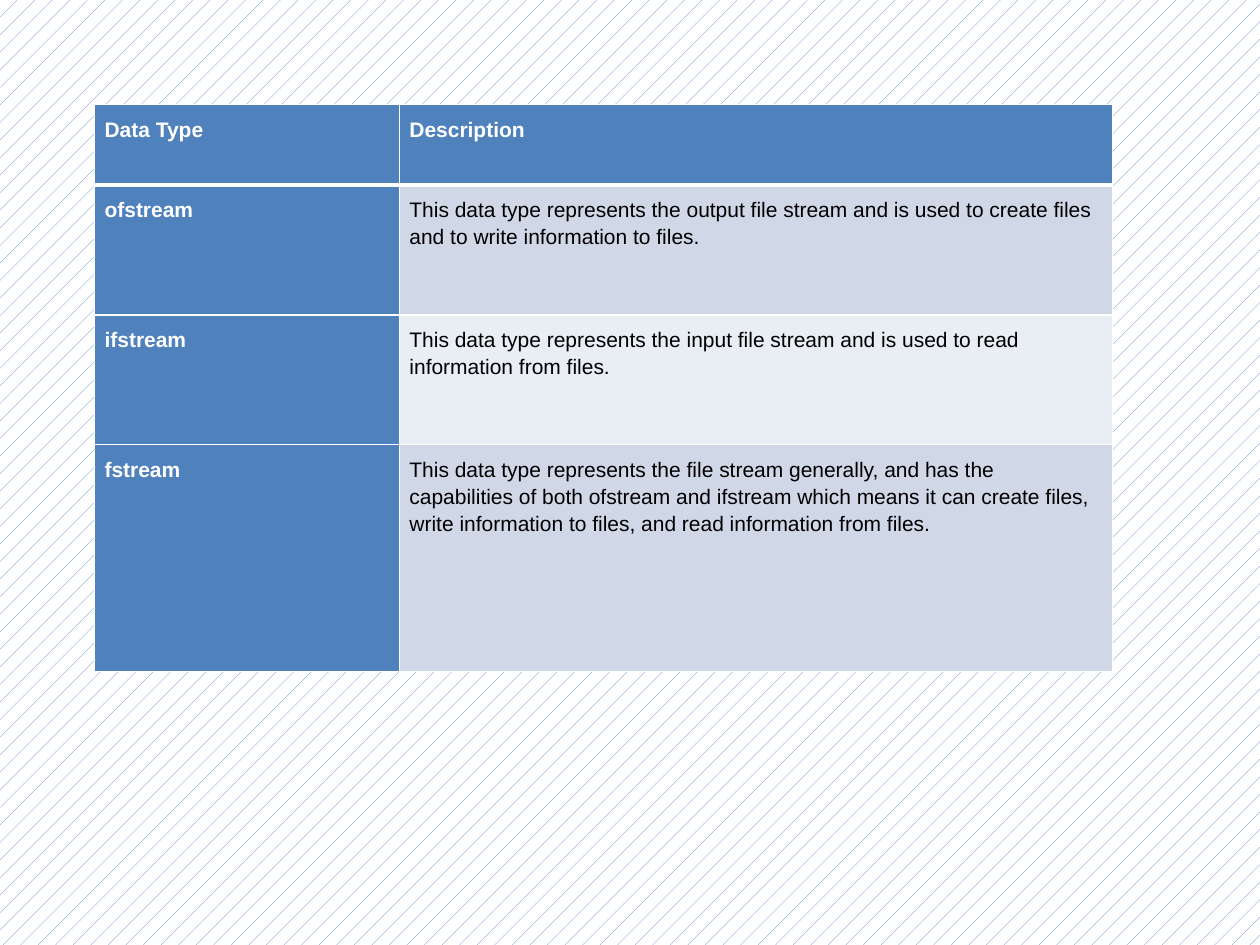
"""Build a slide with a table of the C++ file stream types."""
from lxml.etree import SubElement
from pptx import Presentation
from pptx.dml.color import RGBColor as RGB
from pptx.enum.dml import MSO_PATTERN as PATTERN
from pptx.oxml.ns import qn
from pptx.util import Inches, Pt

COLORS = {
    "blue": "4F81BD",
    "white": "FFFFFF",
    "black": "000000",
    "band": "D0D8E8",
    "pale": "E9EDF4",
}
WIDTHS = [2.42, 5.66]
HEIGHTS = [0.64, 1.03, 1.03, 1.8]
ROWS = [
    ("Data Type", "Description"),
    ("ofstream", "This data type represents the output file stream and is used "
                 "to create files and to write information to files."),
    ("ifstream", "This data type represents the input file stream and is used "
                 "to read information from files."),
    ("fstream", "This data type represents the file stream generally, and has "
                "the capabilities of both ofstream and ifstream which means it "
                "can create files, write information to files, and read "
                "information from files."),
]


def color(name):
    return RGB.from_string(COLORS[name])


def paint_back(slide):
    fill = slide.background.fill
    fill.patterned()
    fill.pattern = PATTERN.PERCENT_5
    fill.fore_color.rgb = color("blue")
    fill.back_color.rgb = color("white")


def write(frame, text, size=12, ink="black", bold=False):
    para = frame.paragraphs[0]
    para.line_spacing = 1.15
    run = para.add_run()
    run.text = text
    font = run.font
    font.name, font.size, font.bold = "Arial", Pt(size), bold
    font.color.rgb = color(ink)


def add_edges(cell, top=1, bottom=1):
    props = cell._tc.get_or_add_tcPr()
    for side, width in zip("LRTB", (1, 1, top, bottom)):
        line = SubElement(props, qn(f"a:ln{side}"), w=str(Pt(width)))
        fill = SubElement(line, qn("a:solidFill"))
        SubElement(fill, qn("a:srgbClr"), val=COLORS["white"])


def fill_cell(cell, text, row, col):
    strong = row == 0 or col == 0
    add_edges(cell, top=3 if row == 1 else 1, bottom=3 if row == 0 else 1)
    cell.fill.solid()
    shade = "blue" if strong else "band" if row % 2 else "pale"
    cell.fill.fore_color.rgb = color(shade)
    cell.margin_left = cell.margin_right = Inches(0.08)
    cell.margin_top = cell.margin_bottom = Inches(0.08)
    write(cell.text_frame, text, ink="white" if strong else "black", bold=strong)


def add_grid(slide, left, top):
    frame = slide.shapes.add_table(
        len(ROWS), len(WIDTHS), Inches(left), Inches(top),
        Inches(sum(WIDTHS)), Inches(sum(HEIGHTS)))
    table = frame.table
    for col, width in zip(table.columns, WIDTHS):
        col.width = Inches(width)
    for row, height in zip(table.rows, HEIGHTS):
        row.height = Inches(height)
    for row, texts in enumerate(ROWS):
        for col, text in enumerate(texts):
            fill_cell(table.cell(row, col), text, row, col)


def main():
    deck = Presentation()
    deck.slide_width, deck.slide_height = Inches(10), Inches(7.5)
    slide = deck.slides.add_slide(deck.slide_layouts[6])
    paint_back(slide)
    add_grid(slide, 0.75, 0.83)
    deck.save("out.pptx")


if __name__ == "__main__":
    main()
